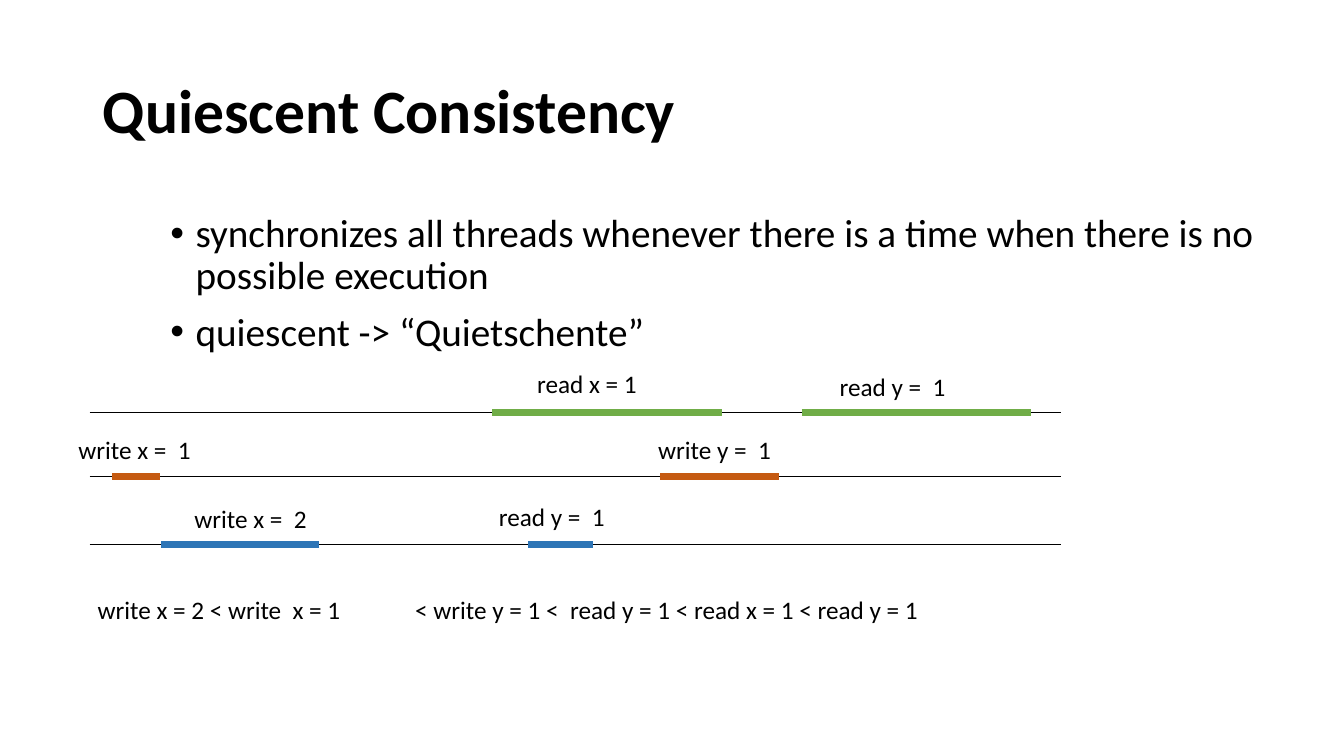
from dataclasses import dataclass

from lxml import etree
from pptx import Presentation
from pptx.dml.color import RGBColor
from pptx.enum.shapes import MSO_CONNECTOR
from pptx.enum.text import MSO_ANCHOR, MSO_AUTO_SIZE, PP_ALIGN
from pptx.oxml.ns import qn
from pptx.slide import Slide
from pptx.text.text import _Paragraph
from pptx.util import Inches, Pt

STRAIGHT = MSO_CONNECTOR.STRAIGHT
MIDDLE, TOP = MSO_ANCHOR.MIDDLE, MSO_ANCHOR.TOP
FIXED_SIZE, GROW = MSO_AUTO_SIZE.NONE, MSO_AUTO_SIZE.SHAPE_TO_FIT_TEXT
LEFT = PP_ALIGN.LEFT


@dataclass(frozen=True)
class Theme:
    font: str = "Calibri"
    ink: str = "000000"
    green: str = "70AD47"
    orange: str = "C55A11"
    blue: str = "2E75B6"
    title_size: float = 44
    body_size: float = 28
    label_size: float = 18
    thread_width: float = 0.5
    operation_width: float = 5


@dataclass(frozen=True)
class Operation:
    text: str
    start: float
    end: float
    label_left: float
    label_top: float
    label_width: float


@dataclass(frozen=True)
class Thread:
    y: float
    color: str
    operations: tuple[Operation, ...]


THEME = Theme()
THREAD_START, THREAD_END = 0.89, 10.52
LABEL_HEIGHT = 0.4
ORDER_TAB = 3.15

BULLETS = (
    "synchronizes all threads whenever there is a time when there is no possible execution",
    "quiescent -> “Quietschente”",
)
THREADS = (
    Thread(4.09, THEME.green, (
        Operation("read x = 1", 4.88, 7.16, 5.23, 3.61, 1.2),
        Operation("read y =  1", 7.95, 10.23, 8.23, 3.63, 1.27),
    )),
    Thread(4.73, THEME.orange, (
        Operation("write x =  1", 1.11, 1.59, 0.68, 4.26, 1.33),
        Operation("write y =  1", 6.55, 7.73, 6.43, 4.26, 1.34),
    )),
    Thread(5.4, THEME.blue, (
        Operation("write x =  2", 1.6, 3.16, 1.83, 4.94, 1.33),
        Operation("read y =  1", 5.24, 5.88, 4.85, 4.92, 1.27),
    )),
)
ORDER = "write x = 2 < write  x = 1\t< write y = 1 <  read y = 1 < read x = 1 < read y = 1"


def add_span(para: _Paragraph, text: str, size: float, bold: bool = False) -> None:
    span = para.add_run()
    span.text = text
    span.font.name = THEME.font
    span.font.size = Pt(size)
    span.font.bold = bold
    span.font.color.rgb = RGBColor.from_string(THEME.ink)


def add_bullet(para: _Paragraph) -> None:
    properties = para._p.get_or_add_pPr()
    properties.set("marL", str(Inches(0.25)))
    properties.set("indent", str(Inches(-0.25)))
    etree.SubElement(properties, qn("a:buFont"), typeface="Arial")
    etree.SubElement(properties, qn("a:buChar"), char="•")


def add_tab_stop(para: _Paragraph, position: float) -> None:
    tabs = etree.SubElement(para._p.get_or_add_pPr(), qn("a:tabLst"))
    etree.SubElement(tabs, qn("a:tab"), pos=str(Inches(position)), algn="l")


def fill_title(page: Slide) -> None:
    title = page.shapes.title
    title.left, title.top = Inches(0.92), Inches(0.4)
    title.width, title.height = Inches(11.5), Inches(1.45)
    frame = title.text_frame
    frame.auto_size = FIXED_SIZE
    frame.vertical_anchor = MIDDLE
    para = frame.paragraphs[0]
    para.alignment = LEFT
    para.line_spacing = 0.9
    add_span(para, "Quiescent Consistency", THEME.title_size, bold=True)


def fill_body(page: Slide) -> None:
    body = page.placeholders[1]
    body.left, body.top = Inches(1.59), Inches(2.07)
    body.width, body.height = Inches(11.5), Inches(4.76)
    frame = body.text_frame
    frame.auto_size = FIXED_SIZE
    frame.vertical_anchor = TOP
    for index, text in enumerate(BULLETS):
        para = frame.add_paragraph() if index else frame.paragraphs[0]
        add_bullet(para)
        para.line_spacing = 0.9
        para.space_before = Pt(10 if index else 0)
        add_span(para, text, THEME.body_size)


def add_level_line(page: Slide, start: float, end: float, y: float,
                   color: str, width: float) -> None:
    line = page.shapes.add_connector(
        STRAIGHT, Inches(start), Inches(y), Inches(end), Inches(y))
    line.line.color.rgb = RGBColor.from_string(color)
    line.line.width = Pt(width)
    etree.SubElement(line._element.spPr, qn("a:effectLst"))


def add_label(page: Slide, text: str, left: float, top: float, width: float,
              tab: float | None = None) -> None:
    box = page.shapes.add_textbox(
        Inches(left), Inches(top), Inches(width), Inches(LABEL_HEIGHT))
    frame = box.text_frame
    frame.word_wrap = tab is not None
    frame.auto_size = GROW
    para = frame.paragraphs[0]
    if tab is not None:
        add_tab_stop(para, tab)
    add_span(para, text, THEME.label_size)


def add_thread(page: Slide, thread: Thread) -> None:
    add_level_line(page, THREAD_START, THREAD_END, thread.y, THEME.ink, THEME.thread_width)
    for operation in thread.operations:
        add_level_line(page, operation.start, operation.end, thread.y,
                       thread.color, THEME.operation_width)
        add_label(page, operation.text, operation.label_left,
                  operation.label_top, operation.label_width)


def main() -> None:
    deck = Presentation()
    deck.slide_width, deck.slide_height = Inches(13.33), Inches(7.5)
    page = deck.slides.add_slide(deck.slide_layouts[1])
    fill_title(page)
    fill_body(page)
    for thread in THREADS:
        add_thread(page, thread)
    add_label(page, ORDER, 0.87, 5.85, 8.57, tab=ORDER_TAB)
    deck.save("out.pptx")


if __name__ == "__main__":
    main()
